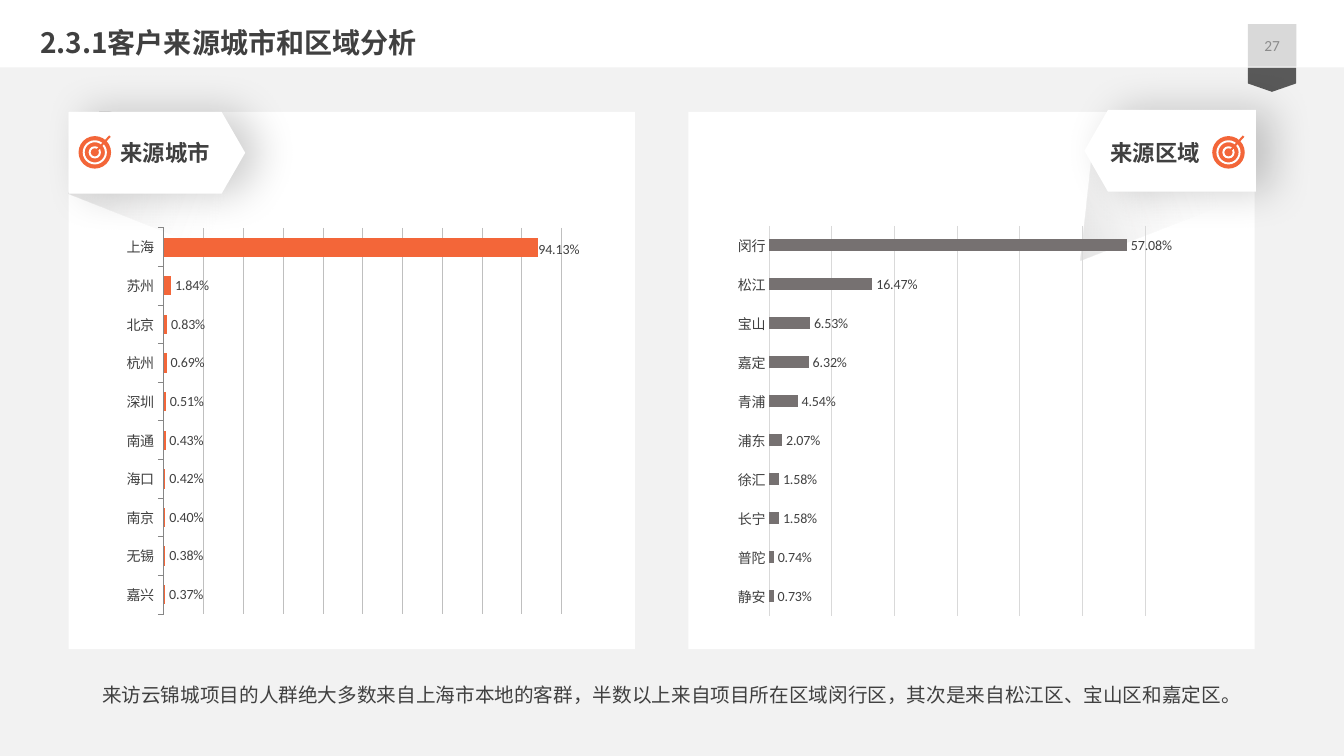
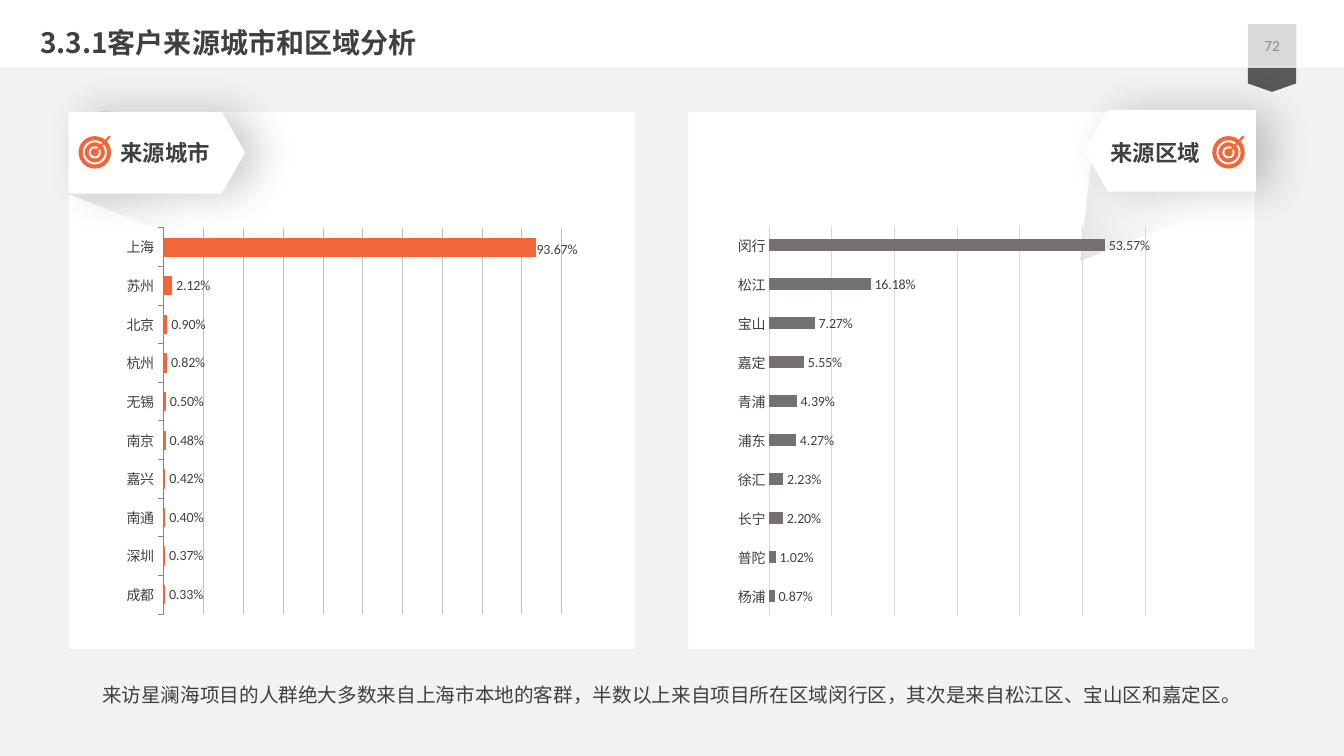
"""Build two slides that compare where visitors come from, by city and by district."""
from dataclasses import dataclass
from math import cos, radians, sin

from lxml import etree
from pptx import Presentation
from pptx import util as u
from pptx.chart import data as cd
from pptx.dml import color as col
from pptx.enum import chart as ch, shapes as sh, text as tx
from pptx.oxml import ns

WIDE, HIGH = 33.87, 19.05
WHITE, PALE, DARK, ACCENT, GREY = "FFFFFF", "F2F2F2", "404040", "F36639", "767171"
SANS, HAN = "Calibri", "Noto Sans CJK SC"
TOP = 2.82
FOLD = [(2.51, 2.82), (2.77, 2.82), (5.87, 4.04), (6.15, 6.6), (1.73, 4.88)]
PIVOT = (4.34, 4.66)


@dataclass(frozen=True)
class Side:
    """Layout and chart style of one half of the slide, in centimetres."""
    label: str
    panel: float
    plate: tuple[float, float, float, float]
    name: tuple[float, float, float, float]
    icon: float
    chart: tuple[float, float, float, float]
    plot: tuple[float, float, float, float]
    hue: str
    gap: int
    peak: float
    grid: tuple[str, float]
    axis: str
    tick: ch.XL_TICK_MARK
    flip: bool = False


@dataclass(frozen=True)
class Page:
    """Wording and figures of one slide, with the largest share first."""
    number: str
    title: str
    note: str
    shares: tuple[dict[str, float], dict[str, float]]


SIDES = (
    Side("来源城市", 1.73, (1.73, TOP, 4.45, 2.06), (2.79, 3.38, 3.38, 0.94), 2.39,
         (1.7, 5.31, 13.64, 10.59), (0.178, 0.041, 0.735, 0.919), ACCENT, 100, 1.0,
         ("BFBFBF", 0.5), "868686", ch.XL_TICK_MARK.OUTSIDE),
    Side("来源区域", 17.35, (27.33, 2.77, 4.32, 2.06), (27.74, 3.38, 2.82, 0.94), 30.96,
         (17.53, 5.31, 13.84, 10.59), (0.134, 0.036, 0.685, 0.928), GREY, 219, 0.6,
         ("D9D9D9", 0.75), "D9D9D9", ch.XL_TICK_MARK.NONE, True),
)

NOTE = "来访{}项目的人群绝大多数来自上海市本地的客群，半数以上来自项目所在区域闵行区，其次是来自松江区、宝山区和嘉定区。"

PAGES = (
    Page("27", "2.3.1客户来源城市和区域分析", NOTE.format("云锦城"), (
        {"上海": 0.9413, "苏州": 0.0184, "北京": 0.0083, "杭州": 0.0069, "深圳": 0.0051,
         "南通": 0.0043, "海口": 0.0042, "南京": 0.004, "无锡": 0.0038, "嘉兴": 0.0037},
        {"闵行": 0.5708, "松江": 0.1647, "宝山": 0.0653, "嘉定": 0.0632, "青浦": 0.0454,
         "浦东": 0.0207, "徐汇": 0.0158, "长宁": 0.0158, "普陀": 0.0074, "静安": 0.0073})),
    Page("72", "3.3.1客户来源城市和区域分析", NOTE.format("星澜海"), (
        {"上海": 0.9367, "苏州": 0.0212, "北京": 0.009, "杭州": 0.0082, "无锡": 0.005,
         "南京": 0.0048, "嘉兴": 0.0042, "南通": 0.004, "深圳": 0.0037, "成都": 0.0033},
        {"闵行": 0.5357, "松江": 0.1618, "宝山": 0.0727, "嘉定": 0.0555, "青浦": 0.0439,
         "浦东": 0.0427, "徐汇": 0.0223, "长宁": 0.022, "普陀": 0.0102, "杨浦": 0.0087})),
)


def ink(code: str) -> col.RGBColor:
    return col.RGBColor.from_string(code)


def sub(node, tag: str, **attrs):
    return etree.SubElement(node, ns.qn(tag), {k: str(v) for k, v in attrs.items()})


def box(slide, at, fill=None, kind=sh.MSO_SHAPE.RECTANGLE, adj=None, line=None, width=1.0):
    item = slide.shapes.add_shape(kind, *map(u.Cm, at))
    item.shadow.inherit = False
    if fill:
        item.fill.solid()
        item.fill.fore_color.rgb = ink(fill)
    else:
        item.fill.background()
    if line:
        item.line.color.rgb = ink(line)
        item.line.width = u.Pt(width)
    else:
        item.line.fill.background()
    if adj is not None:
        item.adjustments[0] = adj
    return item


def write(slide, at, words, *, size, hue=DARK, bold=False, face=SANS, align=None,
          anchor=tx.MSO_ANCHOR.TOP, space=None, grow=True):
    frame = slide.shapes.add_textbox(*map(u.Cm, at)).text_frame
    frame.word_wrap = True
    frame.vertical_anchor = anchor
    if grow:
        frame.auto_size = tx.MSO_AUTO_SIZE.SHAPE_TO_FIT_TEXT
    para = frame.paragraphs[0]
    para.alignment = align
    para.line_spacing = space
    run = para.add_run()
    run.text = words
    font = run.font
    font.size, font.bold, font.name = u.Pt(size), bold, face
    font.color.rgb = ink(hue)
    sub(run._r.get_or_add_rPr(), "a:ea", typeface=HAN)
    return frame


def style(font) -> None:
    font.size, font.name, font.bold = u.Pt(10), SANS, False
    font.color.rgb = ink(DARK)


def fold(slide, flip: bool) -> None:
    """Draw the fading shade under a plate, mirrored on the right side."""
    turn = 68.8 if flip else 291.2

    def place(x: float, y: float) -> tuple[float, float]:
        return (33.38 - x, y - 0.05) if flip else (x, y)

    mid, down = place(*PIVOT)
    c, s = cos(radians(turn)), sin(radians(turn))
    spots = []
    for x, y in (place(*p) for p in FOLD):
        dx, dy = x - mid, y - down
        spots.append((u.Cm(mid + dx * c + dy * s), u.Cm(down - dx * s + dy * c)))
    pen = slide.shapes.build_freeform(*spots[0])
    pen.add_line_segments(spots[1:], close=True)
    shade = pen.convert_to_shape()
    shade.rotation = turn
    shade.shadow.inherit = False
    shade.line.fill.background()
    shade.fill.gradient()
    shade.fill.gradient_angle = 90 if flip else 270
    for stop, code, pos in zip(shade.fill.gradient_stops, ("3B3838", PALE), (0, 0.72)):
        stop.color.rgb = ink(code)
        stop.position = pos
    grad = shade.element.spPr.find(ns.qn("a:gradFill"))
    for tint, alpha in zip(grad.iter(ns.qn("a:srgbClr")), (20000, 0)):
        sub(tint, "a:alpha", val=alpha)


def plate(slide, side: Side) -> None:
    item = box(slide, side.plate, WHITE, sh.MSO_SHAPE.PENTAGON, 0.288)
    props = item.element.spPr
    if side.flip:
        props.get_or_add_xfrm().set("flipH", "1")
    cast = sub(props.find(ns.qn("a:effectLst")), "a:outerShdw", blurRad=u.Pt(30),
               dist=u.Pt(12), dir=0, algn="l", rotWithShape=0)
    sub(sub(cast, "a:srgbClr", val="000000"), "a:alpha", val=20000)


def target(slide, x: float, y: float = 3.84) -> None:
    """Draw a dartboard with a dart around a centre point."""
    for r, fill, line in ((0.41, ACCENT, None), (0.28, None, WHITE), (0.13, None, WHITE)):
        box(slide, (x - r, y - r, 2 * r, 2 * r), fill, sh.MSO_SHAPE.OVAL, line=line, width=1.4)
    dart = slide.shapes.add_connector(
        sh.MSO_CONNECTOR.STRAIGHT, u.Cm(x + 0.05), u.Cm(y - 0.05), u.Cm(x + 0.38), u.Cm(y - 0.41))
    dart.line.color.rgb = ink(ACCENT)
    dart.line.width = u.Pt(1.5)
    sub(dart.element.spPr, "a:effectLst")


def layout(**spots):
    node = etree.Element(ns.qn("c:layout"))
    man = sub(node, "c:manualLayout")
    for key, val in spots.items():
        sub(man, f"c:{key}", val=val)
    return node


def bars(slide, side: Side, shares: dict[str, float]) -> None:
    data = cd.CategoryChartData(number_format="0.00%")
    data.categories = list(shares)[::-1]
    data.add_series("Series 1", list(shares.values())[::-1])
    chart = slide.shapes.add_chart(
        ch.XL_CHART_TYPE.BAR_CLUSTERED, *map(u.Cm, side.chart), data).chart
    chart.has_legend = chart.has_title = False
    style(chart.font)

    cats, vals = chart.category_axis, chart.value_axis
    cats.major_tick_mark, cats.minor_tick_mark = side.tick, ch.XL_TICK_MARK.NONE
    cats.has_major_gridlines = False
    cats.format.line.color.rgb = ink(side.axis)
    cats.format.line.width = u.Pt(0.75)
    style(cats.tick_labels.font)
    vals.minimum_scale, vals.maximum_scale, vals.major_unit = 0, side.peak, 0.1
    vals.has_major_gridlines = True
    grid = vals.major_gridlines.format.line
    grid.color.rgb, grid.width = ink(side.grid[0]), u.Pt(side.grid[1])
    vals.visible = False

    plot = chart.plots[0]
    plot.gap_width, plot.vary_by_categories = side.gap, False
    row = plot.series[0]
    row.format.fill.solid()
    row.format.fill.fore_color.rgb = ink(side.hue)
    tags = row.data_labels
    tags.show_value = True
    tags.number_format, tags.number_format_is_linked = "0.00%", False
    tags.position = ch.XL_LABEL_POSITION.OUTSIDE_END
    style(tags.font)
    if not side.flip:
        tag = row.points[len(shares) - 1].data_label
        tag.position = ch.XL_LABEL_POSITION.OUTSIDE_END
        style(tag.font)
        mark = row._element.find(".//" + ns.qn("c:dLbl"))
        form = etree.Element(ns.qn("c:numFmt"), formatCode="0.00%", sourceLinked="0")
        mark.insert(1, layout(x=-0.007, y=0.007))
        mark.insert(2, form)

    area = chart._chartSpace.find(".//" + ns.qn("c:plotArea"))
    for old in area.findall(ns.qn("c:layout")):
        area.remove(old)
    x, y, w, h = side.plot
    area.insert(0, layout(layoutTarget="inner", xMode="edge", yMode="edge", x=x, y=y, w=w, h=h))


def frame(base, slide) -> None:
    """Move the shared backdrop and bands into the layout."""
    for old in list(base.placeholders):
        old.element.getparent().remove(old.element)
    flag = box(slide, (31.75, 1.4, 0.61, 1.22), "595959", sh.MSO_SHAPE.PENTAGON, 0.346)
    flag.rotation = 90
    parts = (box(slide, (0, 0, WIDE, HIGH), PALE), flag,
             box(slide, (0, 0, WIDE, 1.7), WHITE),
             box(slide, (31.45, 0.61, 1.22, 1.07), "D9D9D9"))
    for part in parts:
        base.shapes.element.append(part.element)


def build(slide, page: Page) -> None:
    mid = tx.PP_ALIGN.CENTER
    write(slide, (0.76, 0.53, 28.78, 1.12), page.title, size=20, bold=True, face=HAN)
    write(slide, (31.45, 0.61, 1.22, 1.07), page.number, size=11, hue="8C8C8C", align=mid,
          anchor=tx.MSO_ANCHOR.MIDDLE, grow=False)
    for side, shares in zip(SIDES, page.shares):
        box(slide, (side.panel, TOP, 14.27, 13.54), WHITE)
        fold(slide, side.flip)
        plate(slide, side)
        bars(slide, side, shares)
        write(slide, side.name, side.label, size=16, bold=True)
        target(slide, side.icon)
    note = write(slide, (0, 16.81, WIDE, 1.09), page.note, size=14, face=HAN,
                 align=mid, space=1.5)
    note.margin_left = note.margin_right = u.Cm(0.18)
    note.margin_top = note.margin_bottom = u.Cm(0.1)


def main() -> None:
    deck = Presentation()
    deck.slide_width, deck.slide_height = u.Cm(WIDE), u.Cm(HIGH)
    base = deck.slide_layouts[6]
    for n, page in enumerate(PAGES):
        slide = deck.slides.add_slide(base)
        if n == 0:
            frame(base, slide)
        build(slide, page)
    deck.save("out.pptx")


if __name__ == "__main__":
    main()
